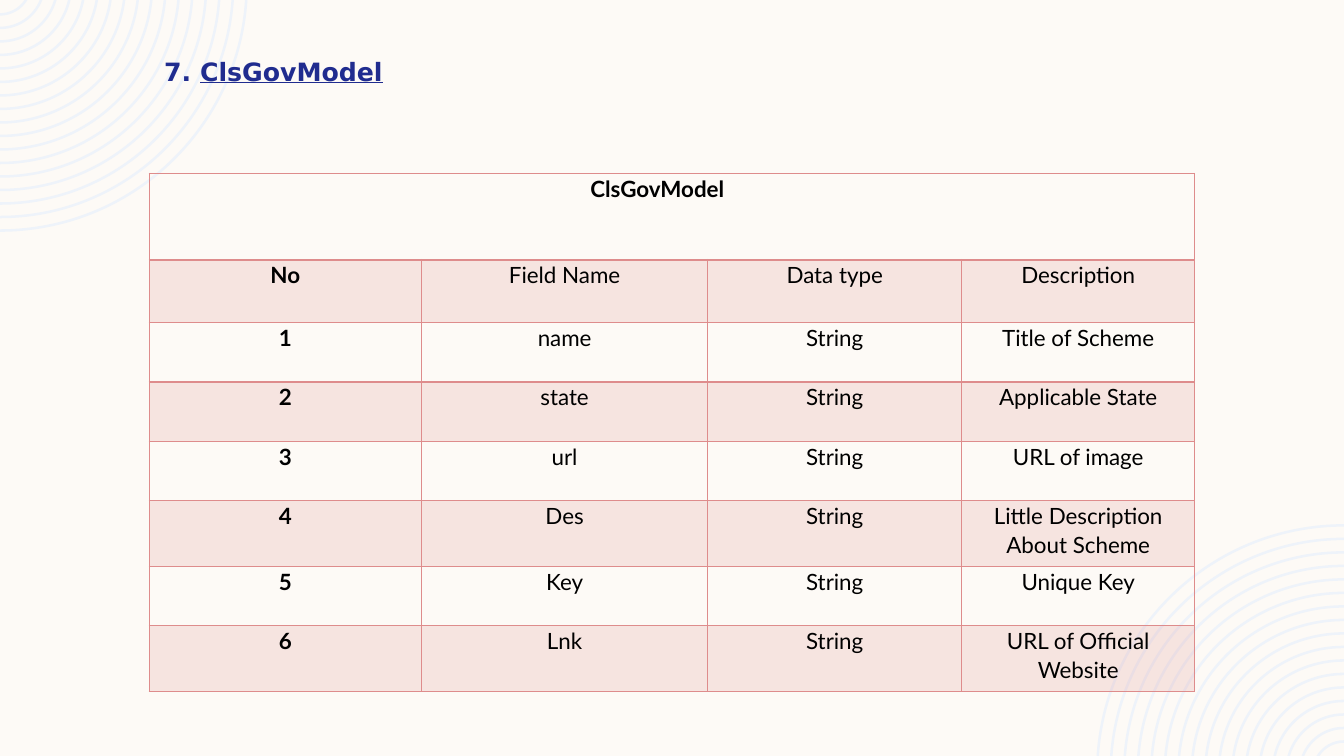
from dataclasses import dataclass
from math import asin, cos, pi, sin, tan

from lxml import etree
from pptx import Presentation
from pptx.dml.color import RGBColor
from pptx.enum.text import MSO_AUTO_SIZE, PP_ALIGN
from pptx.oxml.ns import qn
from pptx.util import Inches, Pt

LEFT, CENTER = PP_ALIGN.LEFT, PP_ALIGN.CENTER
FIT_SHAPE = MSO_AUTO_SIZE.SHAPE_TO_FIT_TEXT


@dataclass(frozen=True)
class Theme:
    background: str = "FDFAF6"
    rings: str = "EEF3FA"
    heading: str = "202C8F"
    body: str = "000000"
    accent: str = "DE8C8C"
    band_alpha: int = 20
    heading_font: str = "DejaVu Sans"
    body_font: str = "Lato"
    heading_size: int = 18
    body_size: int = 16


THEME = Theme()
SLIDE_WIDTH, SLIDE_HEIGHT = 13.33, 7.5

COLUMN_WIDTHS = [2.7, 2.84, 2.52, 2.31]
ROW_HEIGHTS = [0.86, 0.62, 0.59, 0.59, 0.59, 0.65, 0.59, 0.65]
MODEL_NAME = "ClsGovModel"
FIELDS = [
    ("No", "Field Name", "Data type", "Description"),
    ("1", "name", "String", "Title of Scheme"),
    ("2", "state", "String", "Applicable State"),
    ("3", "url", "String", "URL of image"),
    ("4", "Des", "String", "Little Description About Scheme"),
    ("5", "Key", "String", "Unique Key"),
    ("6", "Lnk", "String", "URL of Official Website"),
]


def write_text(paragraph, text, *, font=THEME.body_font, size=THEME.body_size,
               color=THEME.body, bold=False, underline=False, align=CENTER):
    paragraph.alignment = align
    paragraph.line_spacing = 1.07
    paragraph.space_after = Pt(8)
    run = paragraph.add_run()
    run.text = text
    run.font.name = font
    run.font.size = Pt(size)
    run.font.bold = bold
    run.font.underline = underline
    run.font.color.rgb = RGBColor.from_string(color)


def add_corner_rings(slide, left, top, direction):
    """Concentric ring arcs; direction 1 opens down-right, -1 up-left."""
    ring_count, outer_radius, ring_step, thickness = 17, 2.46, 0.134, 0.025
    overshoot = 0.16  # the centre lies just beyond the slide edge

    def arc(radius):
        """Start, two control points and end of a cubic arc."""
        first = asin(overshoot / radius)
        handle = 4 / 3 * tan((pi / 2 - first) / 4) * radius
        start_x, start_y = radius * cos(first), radius * sin(first)
        points = [(start_x, start_y),
                  (start_x - handle * sin(first), start_y + handle * cos(first)),
                  (handle, radius), (0, radius)]
        return [(Inches(left + direction * x), Inches(top + direction * (y - overshoot)))
                for x, y in points]

    # Straight-sided outlines
    builder, curves = None, []
    for ring in range(ring_count):
        radius = outer_radius - ring * ring_step
        outer, inner = arc(radius), arc(radius - thickness)[::-1]
        if builder is None:
            builder = slide.shapes.build_freeform(*outer[0], scale=1.0)
        else:
            builder.move_to(*outer[0])
        builder.add_line_segments([outer[3], inner[0], inner[3]], close=True)
        curves += [outer[1:3], None, inner[1:3]]
    shape = builder.convert_to_shape()

    # Bend the long sides into arcs
    for segment, controls in zip(list(shape._element.iter(qn("a:lnTo"))), curves):
        if controls:
            segment.tag = qn("a:cubicBezTo")
            for index, (x, y) in enumerate(controls):
                point = etree.Element(qn("a:pt"), x=str(x - shape.left), y=str(y - shape.top))
                segment.insert(index, point)

    shape.shadow.inherit = False
    shape.fill.solid()
    shape.fill.fore_color.rgb = RGBColor.from_string(THEME.rings)
    shape.line.fill.background()


def add_heading(slide, left, top, width, height):
    box = slide.shapes.add_textbox(Inches(left), Inches(top), Inches(width), Inches(height))
    box.text_frame.word_wrap = True
    box.text_frame.auto_size = FIT_SHAPE
    paragraph = box.text_frame.paragraphs[0]
    for text, underline in (("7. ", False), (MODEL_NAME, True)):
        write_text(paragraph, text, font=THEME.heading_font, size=THEME.heading_size,
                   color=THEME.heading, bold=True, underline=underline, align=LEFT)


def format_cell(cell, banded, top_width=1, bottom_width=1):
    cell.margin_left = cell.margin_right = Inches(0.07)
    cell.margin_top = cell.margin_bottom = 0
    properties = cell._tc.get_or_add_tcPr()
    # Borders
    for side, width in (("L", 1), ("R", 1), ("T", top_width), ("B", bottom_width)):
        line = etree.SubElement(properties, qn(f"a:ln{side}"), w=str(Pt(width)))
        fill = etree.SubElement(line, qn("a:solidFill"))
        etree.SubElement(fill, qn("a:srgbClr"), val=THEME.accent)
    # Band fill
    if banded:
        cell.fill.solid()
        cell.fill.fore_color.rgb = RGBColor.from_string(THEME.accent)
        color = properties.find(qn("a:solidFill")).find(qn("a:srgbClr"))
        etree.SubElement(color, qn("a:alpha"), val=str(THEME.band_alpha * 1000))
    else:
        cell.fill.background()


def add_field_table(slide, left, top):
    frame = slide.shapes.add_table(
        len(ROW_HEIGHTS), len(COLUMN_WIDTHS), Inches(left), Inches(top),
        Inches(sum(COLUMN_WIDTHS)), Inches(sum(ROW_HEIGHTS)))
    table = frame.table
    table.first_row = table.horz_banding = False
    for column, width in zip(table.columns, COLUMN_WIDTHS):
        column.width = Inches(width)
    for row, height in zip(table.rows, ROW_HEIGHTS):
        row.height = Inches(height)

    # Title row across all columns
    for cell in table.rows[0].cells:
        format_cell(cell, banded=False, bottom_width=2)
    title = table.cell(0, 0)
    title.merge(table.cell(0, len(COLUMN_WIDTHS) - 1))
    title.margin_right = Inches(0.36)
    write_text(title.text_frame.paragraphs[0], MODEL_NAME, bold=True)

    # Column heads and fields
    for row_index, values in enumerate(FIELDS, start=1):
        for column_index, text in enumerate(values):
            cell = table.cell(row_index, column_index)
            format_cell(cell, banded=row_index % 2 == 1,
                        top_width=2 if row_index == 1 else 1)
            write_text(cell.text_frame.paragraphs[0], text, bold=column_index == 0)


def build_model_slide(presentation):
    slide = presentation.slides.add_slide(presentation.slide_layouts[6])
    slide.background.fill.solid()
    slide.background.fill.fore_color.rgb = RGBColor.from_string(THEME.background)
    add_corner_rings(slide, 0, 0, 1)
    add_corner_rings(slide, SLIDE_WIDTH, SLIDE_HEIGHT, -1)
    add_heading(slide, 1.53, 0.49, 6.67, 0.41)
    add_field_table(slide, 1.48, 1.72)


def main():
    presentation = Presentation()
    presentation.slide_width = Inches(SLIDE_WIDTH)
    presentation.slide_height = Inches(SLIDE_HEIGHT)
    build_model_slide(presentation)
    presentation.save("out.pptx")


if __name__ == "__main__":
    main()
